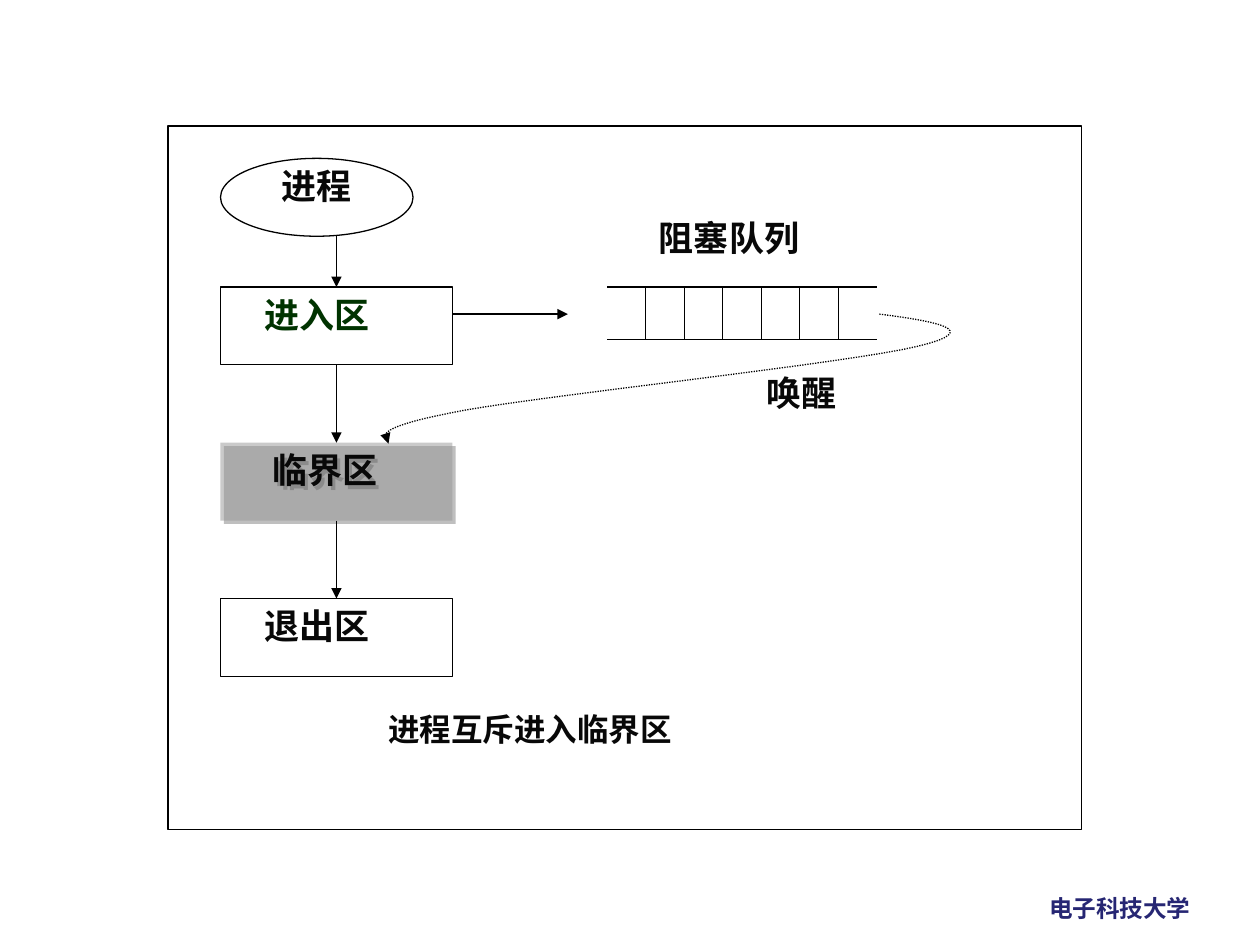
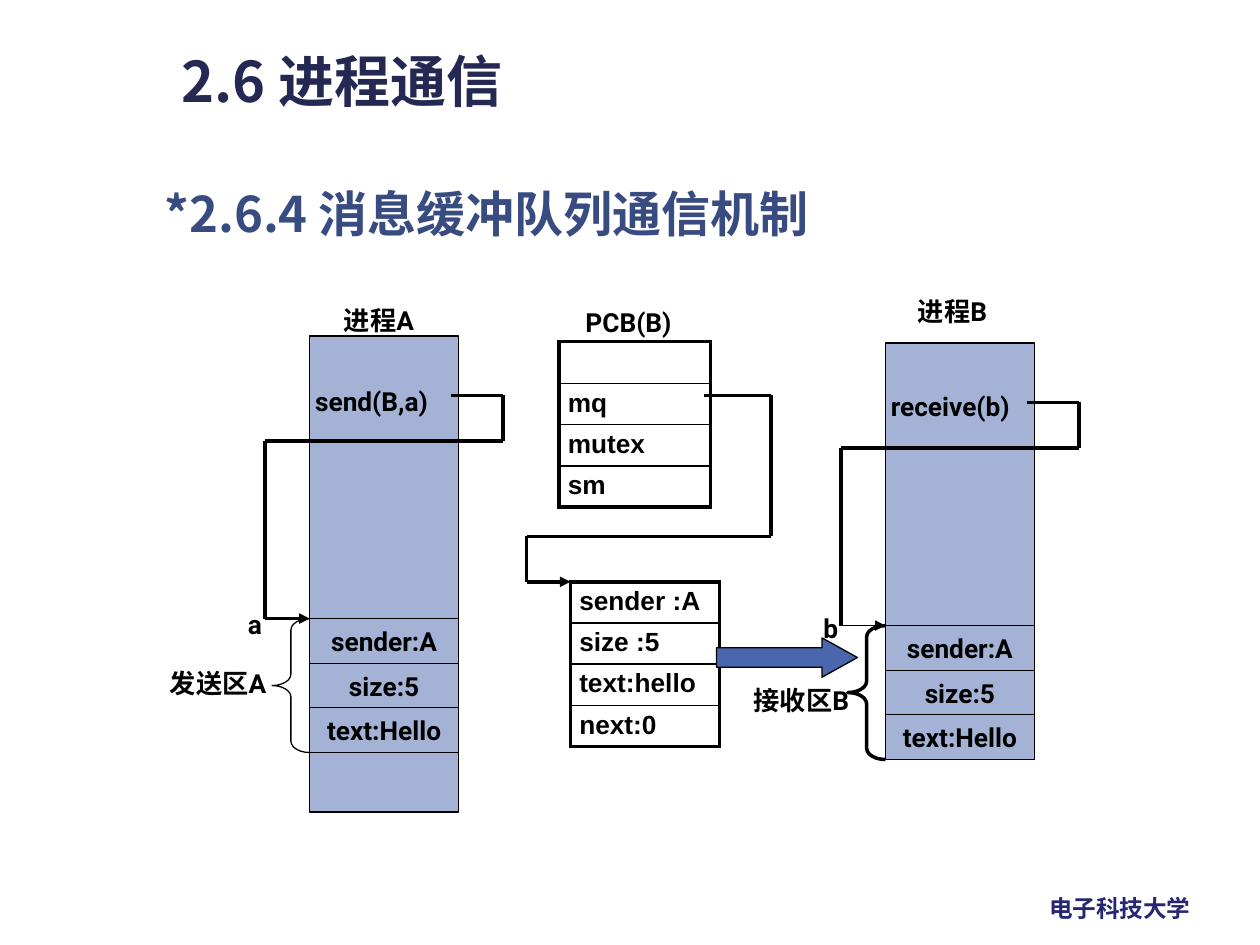
from itertools import pairwise
from lxml import etree
from pptx import Presentation
from pptx.dml.color import RGBColor
from pptx.enum.dml import MSO_LINE
from pptx.enum.shapes import MSO_CONNECTOR, MSO_SHAPE as SHAPE
from pptx.enum.text import MSO_ANCHOR as ANCHOR, MSO_AUTO_SIZE, PP_ALIGN as ALIGN
from pptx.oxml.ns import qn
from pptx.util import Pt

# Shared look
BLACK, INK, GREEN, GREY = "000000", "080808", "003300", "969696"
NAVY, SLATE, BLUE, FOOTER_BLUE = "242852", "384C81", "4A66AC", "262673"
CJK, SERIF, SANS, TABLE_FONT = "Noto Sans CJK SC", "Times New Roman", "Roboto", "Arial"
THIN, THICK, TABLE_EDGE = 0.75, 2, 2.25
FOOTER = "电子科技大学", (592.5, 507.5, 96.5, 24)

# Slide 1: text, indent, text colour
ZONES = [("进入区", 18, GREEN), ("临界区", 22.5, INK), ("退出区", 18, INK)]
ZONE_LEFT, ZONE_TOP, ZONE_STEP, ZONE_W, ZONE_H = 126, 164, 89, 132.5, 44.5
FRAME = (96, 72, 522, 402)
START = "进程", (126, 90.5, 110, 44.5)
QUEUE_LABEL = "阻塞队列", (347, 120, 155, 44.5), 22.5
WAKE_LABEL = "唤醒", (413, 209, 110, 44.5), 18
CAPTION = "进程互斥进入临界区", (126, 402, 353.5, 44.5)
QUEUE_LEFT, QUEUE_TOP, QUEUE_BOTTOM = 347, 164, 194
QUEUE_STEP, QUEUE_SLOTS = 22, 7
WAKE_START = (502.5, 179.5)
WAKE_CURVES = [
    ((533.5, 183.5), (563.75, 188.5), (524, 198)),
    ((484.5, 207.5), (315.5, 225.5), (265, 234.5)),
    ((214.5, 244), (218, 248.5), (222, 253.5)),
]

# Slide 2: label positions are offsets from the top left of the column
TITLE = "2.6 进程通信", (96.5, 23, 361.5, 85)
SUBTITLE = "*2.6.4 消息缓冲队列通信机制", (87, 101.5, 484, 52)
MESSAGE = ["sender:A", "size:5", "text:Hello"]
COLUMN_W, CODE_H, FIELD_H, REST_H = 85, 161.5, 25.5, 34
BRACE_W = 21.5
LOOP = [(81, 34), (110.5, 34), (110.5, 60), (-25.5, 60), (-25.5, 161.5), (0, 161.5)]
PROCESSES = [
    dict(origin=(177, 192), rest=True, arrow=THICK, brace=THIN, labels=[
        ("send(B,a)", -4, 24.5, 89), ("发送区A", -87, 186, 70.5),
        ("a", -42.5, 152, 24), ("进程A", 12.5, -21.5, 55.5)]),
    dict(origin=(506, 196), rest=False, arrow=THIN, brace=THICK, labels=[
        ("receive(b)", -4, 23.5, 92), ("接收区B", -82.5, 191.5, 70.5),
        ("b", -42.5, 150.5, 24.5), ("进程B", 11.5, -30.5, 55.5)]),
]
PCB = ["", "mq", "mutex", "sm"], (319.5, 195, 86.5)
BUFFER = ["sender :A", "size :5", "text:hello", "next:0"], (326, 332.5, 85)
TABLE_ROW_H = 23.5
PCB_LABEL = "PCB(B)", (327.5, 171.5, 69, 25)
POINTER = [(402.5, 226), (440.5, 226), (440.5, 306.5), (301, 306.5), (301, 332.5), (326, 332.5)]
TRANSFER = (409.5, 364.5, 80.5, 22.5)


def rgb(colour):
    return RGBColor.from_string(colour)


def pts(values):
    return [Pt(value) for value in values]


def write(frame, text, size, font, colour, align=ALIGN.LEFT, indent=0,
          anchor=ANCHOR.TOP, wrap=True):
    frame.text = text
    frame.auto_size = MSO_AUTO_SIZE.NONE
    frame.word_wrap = wrap
    frame.vertical_anchor = anchor
    style(frame.paragraphs[0], size, font, colour, align, indent)


def style(paragraph, size, font, colour, align=ALIGN.LEFT, indent=0):
    paragraph.alignment = align
    if indent:
        paragraph._p.get_or_add_pPr().set("marL", str(Pt(indent)))
    for run in paragraph.runs:
        run.font.size, run.font.name, run.font.bold = Pt(size), font, True
        run.font.color.rgb = rgb(colour)
        etree.SubElement(run._r.get_or_add_rPr(), qn("a:ea"), typeface=CJK)


def label(slide, text, box, size, font, colour, **options):
    write(slide.shapes.add_textbox(*pts(box)).text_frame, text, size, font, colour, **options)


def outline(line, width):
    line.color.rgb = rgb(BLACK)
    line.width = Pt(width)


def arrowhead(shape):
    etree.SubElement(shape.line._get_or_add_ln(), qn("a:tailEnd"), type="triangle")


def shape(slide, kind, box, fill=None, alpha=None, width=THIN, adjust=()):
    item = slide.shapes.add_shape(kind, *pts(box))
    item.shadow.inherit = False
    if fill:
        item.fill.solid()
        item.fill.fore_color.rgb = rgb(fill)
    else:
        item.fill.background()
    if alpha:
        colour = item._element.spPr.find(".//" + qn("a:srgbClr"))
        etree.SubElement(colour, qn("a:alpha"), val=str(alpha * 1000))
    if width:
        outline(item.line, width)
    else:
        item.line.fill.background()
    for index, value in enumerate(adjust):
        item.adjustments[index] = value
    return item


def line(slide, start, end, width=THIN, arrow=False):
    item = slide.shapes.add_connector(MSO_CONNECTOR.STRAIGHT, *pts(start + end))
    outline(item.line, width)
    if arrow:
        arrowhead(item)
    etree.SubElement(item._element.spPr, qn("a:effectLst"))
    return item


def elbow_path(slide, points, last_width=THICK):
    *legs, last = pairwise(points)
    for start, end in legs:
        line(slide, start, end, THICK)
    line(slide, *last, last_width, arrow=True)


def bezier(start, curves, steps=16):
    for first, second, end in curves:
        for step in range(1, steps + 1):
            t = step / steps
            weights = (1 - t) ** 3, 3 * t * (1 - t) ** 2, 3 * t * t * (1 - t), t ** 3
            yield tuple(Pt(sum(w * p[axis] for w, p in zip(weights, (start, first, second, end))))
                        for axis in (0, 1))
        start = end


def cell_border(cell, side, width):
    edge = etree.SubElement(cell._tc.get_or_add_tcPr(), qn("a:" + side), w=str(Pt(width)))
    fill = etree.SubElement(edge, qn("a:solidFill"))
    etree.SubElement(fill, qn("a:srgbClr"), val=BLACK)


def field_table(slide, fields, place):
    left, top, width = place
    rows = len(fields)
    table = slide.shapes.add_table(rows, 1, *pts((left, top, width, rows * TABLE_ROW_H))).table
    table.first_row = table.horz_banding = False
    for index, field in enumerate(fields):
        table.rows[index].height = Pt(TABLE_ROW_H)
        cell = table.cell(index, 0)
        cell.margin_left = cell.margin_right = Pt(5)
        cell.margin_top = cell.margin_bottom = Pt(2.9)
        cell.text_frame.text = field
        paragraph = cell.text_frame.paragraphs[0]
        style(paragraph, 15, TABLE_FONT, BLACK)
        if not field:
            paragraph._p.get_or_add_endParaRPr().set("sz", "1500")
        for side, width in (("lnL", TABLE_EDGE), ("lnR", TABLE_EDGE),
                            ("lnT", TABLE_EDGE if index == 0 else 1),
                            ("lnB", TABLE_EDGE if index == rows - 1 else 1)):
            cell_border(cell, side, width)
        cell.fill.background()


def process_column(slide, process):
    left, top = process["origin"]
    fields_top = top + CODE_H
    parts = [("", CODE_H)] + [(field, FIELD_H) for field in MESSAGE]
    if process["rest"]:
        parts.append(("", REST_H))
    y = top
    for text, height in parts:
        part = shape(slide, SHAPE.RECTANGLE, (left, y, COLUMN_W, height), BLUE, alpha=50)
        if text:
            write(part.text_frame, text, 15, SANS, BLACK, align=ALIGN.CENTER,
                  anchor=ANCHOR.MIDDLE, wrap=False)
        y += height
    elbow_path(slide, [(left + dx, top + dy) for dx, dy in LOOP], process["arrow"])
    shape(slide, SHAPE.LEFT_BRACE,
          (left - BRACE_W, fields_top, BRACE_W, len(MESSAGE) * FIELD_H),
          width=process["brace"], adjust=(0.3, 0.5))
    for text, dx, dy, width in process["labels"]:
        label(slide, text, (left + dx, top + dy, width, 25), 15, SANS, BLACK)


def new_slide(deck, layout):
    slide = deck.slides.add_slide(deck.slide_layouts[layout])
    label(slide, *FOOTER, 13.5, CJK, FOOTER_BLUE, wrap=False)
    return slide


def build_mutual_exclusion(deck):
    slide = new_slide(deck, 6)
    shape(slide, SHAPE.RECTANGLE, FRAME)

    # Waiting queue
    queue_right = QUEUE_LEFT + QUEUE_SLOTS * QUEUE_STEP
    for y in (QUEUE_TOP, QUEUE_BOTTOM):
        line(slide, (QUEUE_LEFT, y), (queue_right, y))
    for slot in range(1, QUEUE_SLOTS):
        x = QUEUE_LEFT + slot * QUEUE_STEP
        line(slide, (x, QUEUE_TOP), (x, QUEUE_BOTTOM))

    # Zones and the starting process
    zones = []
    for index, (text, indent, colour) in enumerate(ZONES):
        critical = index == 1
        box = (ZONE_LEFT, ZONE_TOP + index * ZONE_STEP, ZONE_W, ZONE_H)
        zone = shape(slide, SHAPE.RECTANGLE, box, GREY if critical else None,
                     50 if critical else None, 0 if critical else THIN)
        write(zone.text_frame, text, 20, SERIF, colour, indent=indent)
        zones.append(zone)
    effects = zones[1]._element.spPr.find(qn("a:effectLst"))
    shadow = etree.SubElement(effects, qn("a:outerShdw"), dist=str(Pt(2.8)), dir="2700000",
                              algn="ctr", rotWithShape="0")
    etree.SubElement(shadow, qn("a:srgbClr"), val="808080")
    shape(slide, SHAPE.OVAL, START[1])
    label(slide, *START, 20, SERIF, INK, align=ALIGN.CENTER)

    # Arrows
    middle = ZONE_LEFT + ZONE_W / 2
    line(slide, (middle, 135), (middle, ZONE_TOP), arrow=True).end_connect(zones[0], 0)
    for upper, lower in pairwise(zones):
        arrow = line(slide, (middle, ZONE_TOP), (middle, ZONE_TOP + ZONE_H), arrow=True)
        arrow.begin_connect(upper, 2)
        arrow.end_connect(lower, 0)
    line(slide, (ZONE_LEFT + ZONE_W, 179.5), (324.5, 179.5), arrow=True)
    builder = slide.shapes.build_freeform(*pts(WAKE_START))
    builder.add_line_segments(list(bezier(WAKE_START, WAKE_CURVES)), close=False)
    wake = builder.convert_to_shape()
    wake.shadow.inherit = False
    wake.fill.background()
    outline(wake.line, THIN)
    wake.line.dash_style = MSO_LINE.ROUND_DOT
    arrowhead(wake)

    # Labels
    for text, box, indent in (WAKE_LABEL, QUEUE_LABEL):
        label(slide, text, box, 20, SERIF, INK, indent=indent)
    label(slide, *CAPTION, 18, CJK, INK, align=ALIGN.CENTER)


def build_message_passing(deck):
    slide = new_slide(deck, 5)
    text, box = TITLE
    title = slide.shapes.title
    title.left, title.top, title.width, title.height = pts(box)
    write(title.text_frame, text, 32, CJK, NAVY)
    label(slide, *SUBTITLE, 28, CJK, SLATE)

    # Control block, message buffer and both processes
    field_table(slide, *PCB)
    field_table(slide, *BUFFER)
    for process in PROCESSES:
        process_column(slide, process)
    elbow_path(slide, POINTER)
    shape(slide, SHAPE.RIGHT_ARROW, TRANSFER, BLUE, adjust=(0.5, 0.9))
    label(slide, *PCB_LABEL, 15, SANS, BLACK)


def main():
    deck = Presentation()
    deck.slide_width, deck.slide_height = Pt(720), Pt(540)
    build_mutual_exclusion(deck)
    build_message_passing(deck)
    deck.save("out.pptx")


if __name__ == "__main__":
    main()
